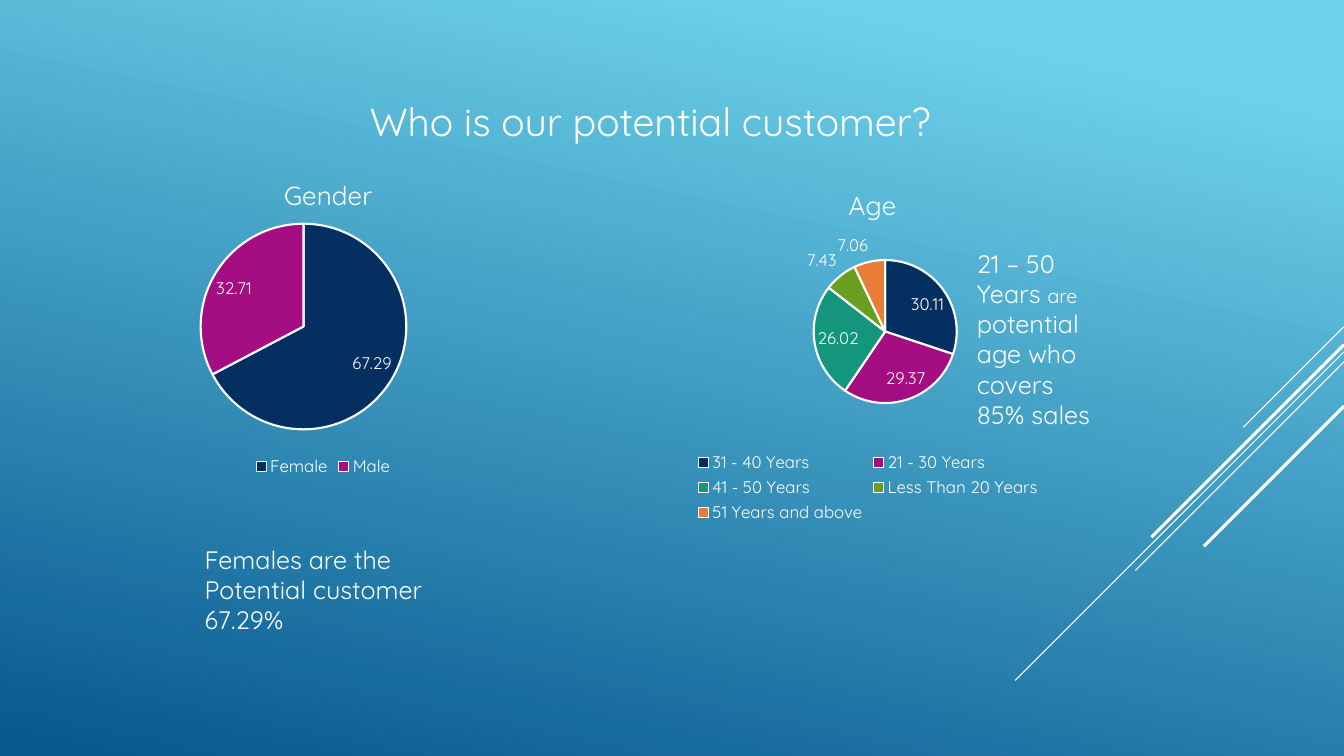
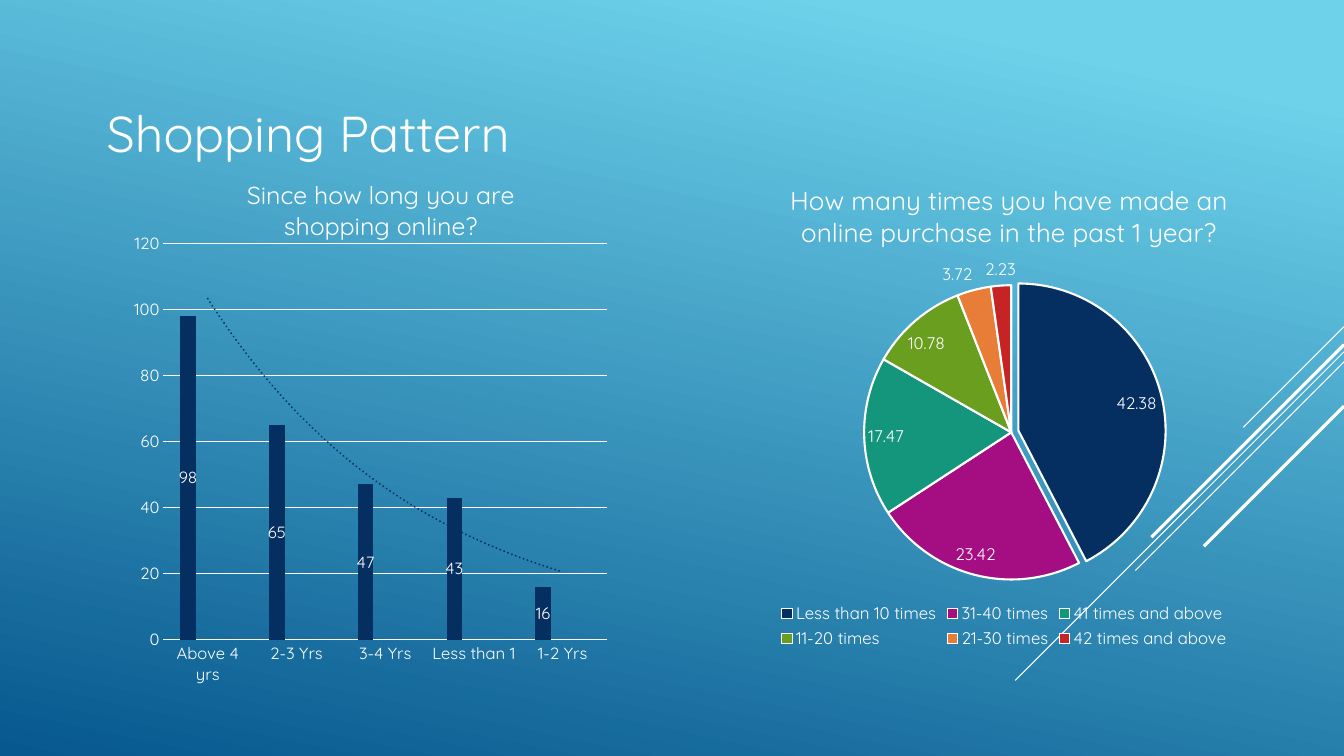
import pptx
import pptx.chart.data
import pptx.dml.color
import pptx.enum.chart
import pptx.enum.shapes
import pptx.enum.text
import pptx.oxml
import pptx.oxml.ns
import pptx.util

PX = 9144
FONT = "Quicksand"
WHITE = "FFFFFF"
SKY, OCEAN = "6ED2EB", "06588E"
PALETTE = ["052F61", "A50E82", "14967C", "6A9E1F", "E87D37", "C62324"]
PAGE_WIDTH, PAGE_HEIGHT = 1333, 750
STRIPES = [(324, 100, 0.75), (349, 326, 0.75), (359, 207, 0.75),
           (342, 191, 2.25), (403, 139, 2.25)]


def color(value):
    """Turn a hex string into a colour."""
    return pptx.dml.color.RGBColor.from_string(value)


def scaled(box):
    """Turn px lengths into EMU."""
    return [pptx.util.Emu(length * PX) for length in box]


def style_font(font, size):
    """Apply the shared typeface and colour."""
    font.name = FONT
    font.size = pptx.util.Pt(size)
    font.bold = False
    font.color.rgb = color(WHITE)


def style_line(line, width):
    """Make a line solid white."""
    line.color.rgb = color(WHITE)
    line.width = pptx.util.Pt(width)


def element(tag, **attributes):
    """Make an XML element with a prefixed tag."""
    node = pptx.oxml.parse_xml(f"<{tag} {pptx.oxml.ns.nsdecls('c', 'a')}/>")
    for name, value in attributes.items():
        node.set(name, str(value))
    return node


def paint_background(master):
    """Give every page the blue gradient."""
    fill = master.background.fill
    fill.gradient()
    fill.gradient_angle = 258
    for stop, position, value in zip(fill.gradient_stops, (0.1, 1), (SKY, OCEAN)):
        stop.position = position
        stop.color.rgb = color(value)


def add_page(deck):
    """Add a blank page with the diagonal stripes."""
    page = deck.slides.add_slide(deck.slide_layouts[6])
    for top, reach, width in STRIPES:
        ends = scaled((PAGE_WIDTH, top, PAGE_WIDTH - reach, top + reach))
        stripe = page.shapes.add_connector(
            pptx.enum.shapes.MSO_CONNECTOR.STRAIGHT, *ends)
        style_line(stripe.line, width)
        stripe._element.spPr.append(element("a:effectLst"))
    return page


def add_text(page, box, paragraphs):
    """Write paragraphs, each a list of (text, size) runs."""
    frame = page.shapes.add_textbox(*scaled(box)).text_frame
    frame.word_wrap = True
    frame.auto_size = pptx.enum.text.MSO_AUTO_SIZE.SHAPE_TO_FIT_TEXT
    for index, runs in enumerate(paragraphs):
        para = frame.add_paragraph() if index else frame.paragraphs[0]
        for text, size in runs:
            span = para.add_run()
            span.text = text
            style_font(span.font, size)


def set_layout(parent, index, values):
    """Fix the place of a chart part, as fractions of the chart."""
    layout = parent.find(pptx.oxml.ns.qn("c:layout"))
    if layout is not None:
        parent.remove(layout)
    layout = element("c:layout")
    manual = element("c:manualLayout")
    if "w" in values:
        manual.append(element("c:layoutTarget", val="inner"))
    for name in ("x", "y"):
        manual.append(element(f"c:{name}Mode", val="edge"))
    for name, value in values.items():
        manual.append(element(f"c:{name}", val=round(value, 4)))
    layout.append(manual)
    parent.insert(index, layout)


def add_chart(page, kind, box, title, title_size, title_at, plot_box, categories, series):
    """Add a chart with its title and plot placed inside the box."""
    data = pptx.chart.data.CategoryChartData()
    data.categories = categories
    for name, values in series:
        data.add_series(name, values)
    chart = page.shapes.add_chart(kind, *scaled(box), data).chart
    style_font(chart.font, 12)
    chart.has_title = True
    span = chart.chart_title.text_frame.paragraphs[0].add_run()
    span.text = title
    style_font(span.font, title_size)
    chart.chart_title.include_in_layout = False
    width, height = box[2:]
    left, top = title_at
    set_layout(chart.chart_title._element, 1, {"x": left / width, "y": top / height})
    left, top, plot_width, plot_height = plot_box
    set_layout(chart._chartSpace.chart.plotArea, 0,
               {"x": left / width, "y": top / height,
                "w": plot_width / width, "h": plot_height / height})
    return chart


def label_values(plot, position):
    """Show each value in the plot."""
    for series in plot.series:
        labels = series.data_labels
        labels.show_value = True
        labels.position = position
        style_font(labels.font, 12)


def add_pie(page, box, title, title_size, title_at, pie_at, diameter, shares, exploded=None):
    """Add a pie with white edges and a legend below."""
    chart = add_chart(page, pptx.enum.chart.XL_CHART_TYPE.PIE, box, title, title_size,
                      title_at, (*pie_at, diameter, diameter),
                      list(shares), [(title, list(shares.values()))])
    chart.has_legend = True
    chart.legend.position = pptx.enum.chart.XL_LEGEND_POSITION.BOTTOM
    chart.legend.include_in_layout = False
    style_font(chart.legend.font, 12)
    plot = chart.plots[0]
    plot.vary_by_categories = True
    label_values(plot, pptx.enum.chart.XL_LABEL_POSITION.BEST_FIT)
    series = plot.series[0]
    for index, value in zip(range(len(shares)), PALETTE):
        slice_format = series.points[index].format
        slice_format.fill.solid()
        slice_format.fill.fore_color.rgb = color(value)
        style_line(slice_format.line, 1.5)
    if exploded is not None:
        point = series._element.findall(pptx.oxml.ns.qn("c:dPt"))[exploded]
        point.find(pptx.oxml.ns.qn("c:spPr")).addprevious(element("c:explosion", val=5))


def add_trend(series):
    """Add a dotted exponential trend line to a series."""
    trend = pptx.oxml.parse_xml(
        f'<c:trendline {pptx.oxml.ns.nsdecls("c", "a")}><c:spPr>'
        f'<a:ln w="19050" cap="rnd"><a:solidFill><a:srgbClr val="{PALETTE[0]}"/></a:solidFill>'
        '<a:prstDash val="sysDot"/></a:ln></c:spPr><c:trendlineType val="exp"/>'
        '<c:dispRSqr val="0"/><c:dispEq val="0"/></c:trendline>')
    series._element.find(pptx.oxml.ns.qn("c:cat")).addprevious(trend)


def add_columns(page, box, title, title_at, plot_box, counts):
    """Add a column chart with a trend line."""
    empty = [None] * len(counts)
    chart = add_chart(page, pptx.enum.chart.XL_CHART_TYPE.COLUMN_CLUSTERED, box, title, 18,
                      title_at, plot_box, list(counts),
                      [("Series 1", list(counts.values())),
                       ("Series 2", empty), ("Series 3", empty)])
    chart.has_legend = False
    plot = chart.plots[0]
    plot.vary_by_categories = False
    plot.gap_width = 219
    plot.overlap = -27
    label_values(plot, pptx.enum.chart.XL_LABEL_POSITION.CENTER)
    for series, value in zip(plot.series, PALETTE):
        series.format.fill.solid()
        series.format.fill.fore_color.rgb = color(value)
    add_trend(plot.series[0])
    for axis in (chart.category_axis, chart.value_axis):
        axis.major_tick_mark = pptx.enum.chart.XL_TICK_MARK.NONE
        axis.minor_tick_mark = pptx.enum.chart.XL_TICK_MARK.NONE
        style_font(axis.tick_labels.font, 12)
    style_line(chart.category_axis.format.line, 0.75)
    value_axis = chart.value_axis
    value_axis.format.line.fill.background()
    value_axis.minimum_scale, value_axis.maximum_scale = 0, 120
    value_axis.major_unit = 20
    style_line(value_axis.major_gridlines.format.line, 0.75)


def build_customer_page(deck):
    """Show customers by gender and age."""
    page = add_page(deck)
    add_pie(page, (645, 158, 432, 365), "Age", 18.6, (192, 22), (162, 100), 142,
            {"31 - 40 Years": 30.11, "21 - 30 Years": 29.37, "41 - 50 Years": 26.02,
             "Less Than 20 Years": 7.43, "51 Years and above": 7.06})
    add_pie(page, (115, 149, 411, 328), "Gender", 18.6, (162, 21), (84, 73), 204,
            {"Female": 67.29, "Male": 32.71})
    add_text(page, (357, 92, 668, 57), [[("Who is our potential customer?", 28)]])
    add_text(page, (193, 535, 285, 101),
             [[("Females are the", 18)], [("Potential customer", 18)], [("67.29%", 18)]])
    add_text(page, (959, 241, 162, 192),
             [[("21 – 50 Years ", 18), ("are", 14), (" potential age who covers", 18)],
              [("85% sales", 18)]])


def build_pattern_page(deck):
    """Show how long and how often people shop online."""
    page = add_page(deck)
    add_text(page, (96, 96, 477, 71), [[("Shopping Pattern", 36)]])
    add_columns(page, (133, 151, 481, 528), "Since how long you are shopping online?",
                (104, 21), (25, 93, 444, 406),
                {"Above 4 yrs": 98, "2-3 Yrs": 65, "3-4 Yrs": 47,
                 "Less than 1": 43, "1-2 Yrs": 16})
    add_pie(page, (674, 151, 644, 497),
            "How many times you have made an online purchase in the past 1 year?",
            18.6, (105, 24), (183, 132), 292,
            {"Less than 10 times": 42.38, "31-40 times": 23.42, "41 times and above": 17.47,
             "11-20 times": 10.78, "21-30 times": 3.72, "42 times and above": 2.23},
            exploded=0)


def main():
    """Build and save the deck."""
    deck = pptx.Presentation()
    deck.slide_width, deck.slide_height = scaled((PAGE_WIDTH, PAGE_HEIGHT))
    paint_background(deck.slide_master)
    build_customer_page(deck)
    build_pattern_page(deck)
    deck.save("out.pptx")


if __name__ == "__main__":
    main()
